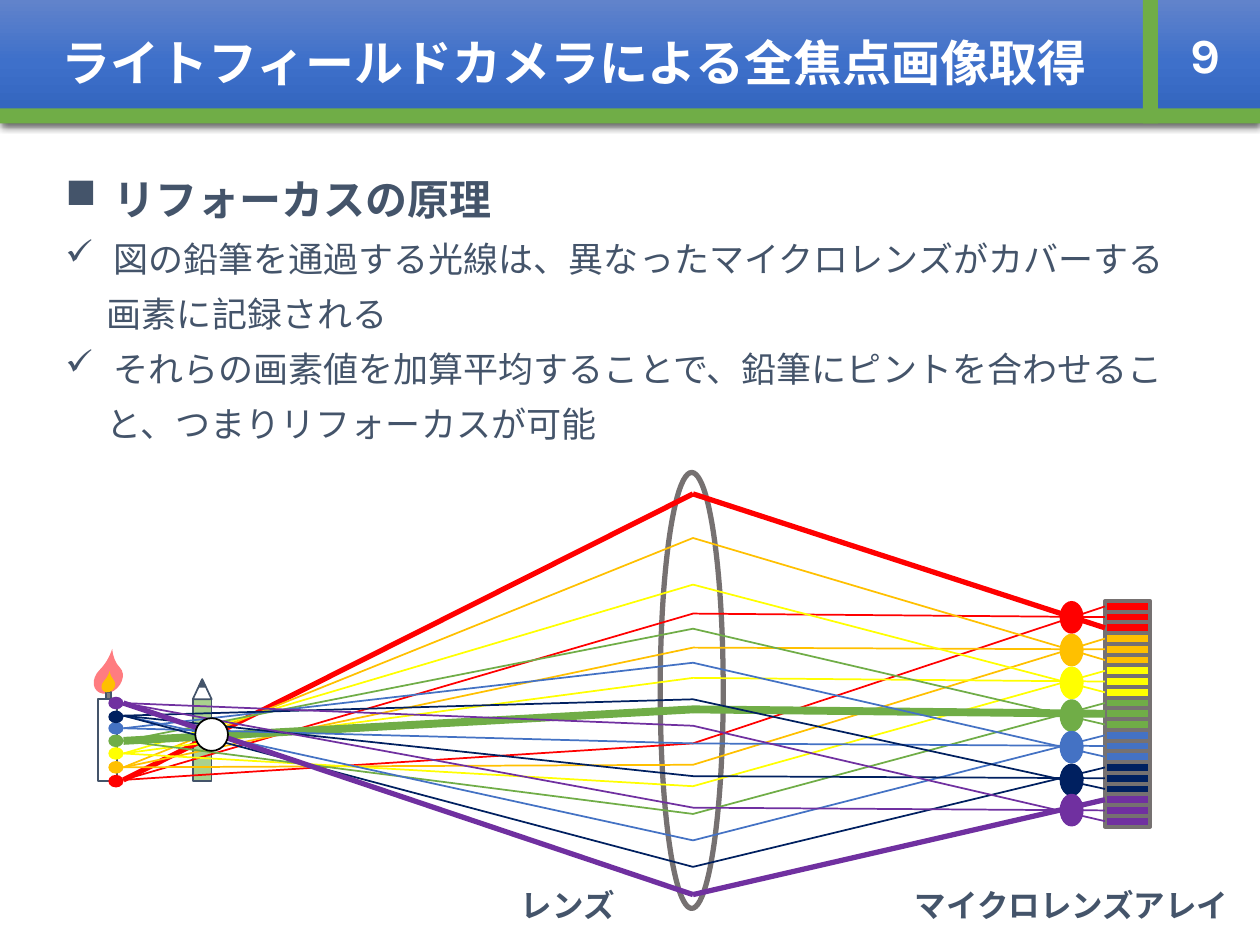
"""Build the slide that explains refocusing with a light field camera."""
from dataclasses import dataclass

from lxml import etree
from pptx import Presentation
from pptx.dml.color import RGBColor
from pptx.enum.shapes import MSO_CONNECTOR, MSO_SHAPE
from pptx.enum.text import MSO_ANCHOR, MSO_AUTO_SIZE, PP_ALIGN
from pptx.oxml import parse_xml
from pptx.oxml.ns import nsdecls, qn
from pptx.util import Emu, Pt

PX = 9144
TITLE_ONLY = 5
RECT, OVAL = MSO_SHAPE.RECTANGLE, MSO_SHAPE.OVAL
TRIANGLE, TEARDROP = MSO_SHAPE.ISOSCELES_TRIANGLE, MSO_SHAPE.TEAR
STRAIGHT = MSO_CONNECTOR.STRAIGHT
TOP, MIDDLE = MSO_ANCHOR.TOP, MSO_ANCHOR.MIDDLE
LEFT, CENTER = PP_ALIGN.LEFT, PP_ALIGN.CENTER
NO_FIT = MSO_AUTO_SIZE.NONE


@dataclass(frozen=True)
class Theme:
    """Colours and type sizes of the slide."""
    font: str = "Karla"
    ink: str = "44546A"
    white: str = "FFFFFF"
    black: str = "000000"
    accent: str = "70AD47"
    band: tuple = ("6183CB", "3E70CA", "3062BB")
    pencil: str = "A9D18E"
    flame: str = "FF7C80"
    flame_core: str = "FFC000"
    wick: str = "808080"
    frame: str = "767171"
    title: int = 28
    heading: int = 24
    body: int = 20
    label: int = 18


THEME = Theme()


@dataclass(frozen=True)
class Beam:
    """Three rays of one colour, ordered by where they cross the lens."""
    color: str
    dot_top: int
    bead_top: int
    starts: tuple
    lens_hits: tuple
    widths: tuple = (1, 1, 1)


BEAMS = (
    Beam("FF0000", 615, 477, (619, 619, 619), (392, 487, 590), (3, 1, 1)),
    Beam("FFC000", 604, 503, (609, 609, 609), (427, 514, 607)),
    Beam("FFFF00", 593, 529, (598, 598, 598), (464, 538, 624)),
    Beam("70AD47", 583, 555, (588, 588, 588), (499, 563, 646), (1, 4.5, 1)),
    Beam("4472C4", 573, 580, (578, 578, 568), (526, 590, 667)),
    Beam("002060", 564, 606, (568, 568, 568), (555, 616, 688)),
    Beam("7030A0", 553, 630, (558, 558, 558), (576, 641, 710), (1, 1, 3)),
)
SOURCE_X, LENS_X, SENSOR_X = 98, 550, 877
SENSOR_TOP, SENSOR_BOTTOM = 477, 656
CELLS_PER_BEAM = 3
CELL_PITCH = (SENSOR_BOTTOM - SENSOR_TOP) / (CELLS_PER_BEAM * len(BEAMS))


def px(*lengths):
    """Turn px lengths into EMU."""
    return [Emu(round(length * PX)) for length in lengths]


def rgb(color):
    """Return the colour object for a hex string."""
    return RGBColor.from_string(color)


def add_bullet(paragraph, mark):
    """Give a paragraph a bullet character."""
    bullet = etree.SubElement(paragraph._p.get_or_add_pPr(), qn("a:buChar"))
    bullet.set("char", mark)


def write(paragraph, text, *, size, color=THEME.ink, bold=True, align=LEFT,
          before=0, spacing=None, bullet=None, margin=0, indent=0):
    """Write formatted text into a paragraph."""
    run = paragraph.add_run()
    run.text = text
    run.font.name, run.font.size, run.font.bold = THEME.font, Pt(size), bold
    run.font.color.rgb = rgb(color)
    paragraph.alignment = align
    paragraph.space_before = Pt(before)
    if spacing:
        paragraph.line_spacing = spacing
    properties = paragraph._p.get_or_add_pPr()
    properties.set("marL", str(margin * PX))
    properties.set("indent", str(indent * PX))
    if bullet:
        add_bullet(paragraph, bullet)


def add_text_frame(slide, box, anchor=TOP):
    """Add a wrapping text box and return its frame."""
    frame = slide.shapes.add_textbox(*px(*box)).text_frame
    frame.word_wrap = True
    frame.vertical_anchor = anchor
    return frame


def add_figure(shapes, kind, box, fill=None, line=None, width=1, rotation=0):
    """Add a preset shape with plain fill and outline."""
    figure = shapes.add_shape(kind, *px(*box))
    figure.shadow.inherit = False
    figure.rotation = rotation
    if fill:
        figure.fill.solid()
        figure.fill.fore_color.rgb = rgb(fill)
    else:
        figure.fill.background()
    if line:
        figure.line.color.rgb = rgb(line)
        figure.line.width = Pt(width)
    else:
        figure.line.fill.background()
    return figure


def add_ray(slide, start, end, color, width):
    """Add a straight ray without shadow."""
    ray = slide.shapes.add_connector(STRAIGHT, *px(*start, *end))
    ray.line.color.rgb = rgb(color)
    ray.line.width = Pt(width)
    etree.SubElement(ray._element.spPr, qn("a:effectLst"))


def paint_band(title):
    """Give the title its gradient and drop shadow."""
    stops = "".join(
        f'<a:gs pos="{step * 50000}"><a:srgbClr val="{color}"/></a:gs>'
        for step, color in enumerate(THEME.band))
    properties = title._element.spPr
    properties.append(parse_xml(
        f'<a:gradFill {nsdecls("a")}><a:gsLst>{stops}</a:gsLst>'
        '<a:lin ang="5400000" scaled="0"/></a:gradFill>'))
    properties.append(parse_xml(
        f'<a:effectLst {nsdecls("a")}><a:outerShdw blurRad="57150" '
        'dist="19050" dir="5400000" algn="ctr" rotWithShape="0">'
        f'<a:srgbClr val="{THEME.black}"><a:alpha val="63000"/></a:srgbClr>'
        '</a:outerShdw></a:effectLst>'))


def add_header(slide):
    """Add the title band, its green bars and the page number."""
    title = slide.shapes.title
    title.left, title.top, title.width, title.height = px(0, 0, 1000, 98)
    paint_band(title)
    frame = title.text_frame
    frame.auto_size, frame.vertical_anchor = NO_FIT, MIDDLE
    write(frame.paragraphs[0], "ライトフィールドカメラによる全焦点画像取得",
          size=THEME.title, color=THEME.white, margin=39)
    for bar in ((0, 86, 1000, 12), (907, 0, 12, 98)):
        add_figure(slide.shapes, RECT, bar, THEME.accent)
    page = add_text_frame(slide, (913, 0, 87, 86), MIDDLE)
    write(page.paragraphs[0], "9", size=THEME.title, color=THEME.white,
          align=CENTER)


def add_explanation(slide):
    """Add the heading and the two checked points."""
    frame = add_text_frame(slide, (42, 137, 915, 386))
    write(frame.paragraphs[0], "リフォーカスの原理", size=THEME.heading,
          before=7.5, spacing=0.9, bullet="■", margin=38, indent=-38)
    points = (
        ("図の鉛筆を通過する光線は、異なったマイクロレンズがカバーする",
         "画素に記録される"),
        ("それらの画素値を加算平均することで、鉛筆にピントを合わせるこ",
         "と、つまりリフォーカスが可能"),
    )
    for opening, rest in points:
        write(frame.add_paragraph(), opening, size=THEME.body, bold=False,
              before=7.5, bullet="✓", margin=38, indent=-38)
        write(frame.add_paragraph(), rest, size=THEME.body, bold=False,
              before=7.5, margin=33)


def add_pencil(slide):
    """Add the pencil as a group."""
    parts = slide.shapes.add_group_shape().shapes
    add_figure(parts, RECT, (153, 555, 15, 65), THEME.pencil, THEME.ink)
    add_figure(parts, TRIANGLE, (153, 539, 15, 16), THEME.white, THEME.ink)
    add_figure(parts, TRIANGLE, (158, 540, 5, 5), THEME.ink, THEME.ink)


def add_candle(slide):
    """Add the candle as a group."""
    parts = slide.shapes.add_group_shape().shapes
    add_figure(parts, RECT, (78, 555, 15, 65), THEME.white, THEME.ink)
    flame = add_figure(parts, TEARDROP, (73, 529, 26, 20), THEME.flame,
                       rotation=315)
    add_figure(parts, RECT, (84, 549, 4, 6), THEME.wick, THEME.ink)
    core = add_figure(parts, TEARDROP, (80, 539, 12, 10), THEME.flame_core,
                      rotation=315)
    for drop in (flame, core):
        drop.adjustments[0] = 1.476


def add_optics(slide):
    """Add the sensor cells, microlenses, light sources and main lens."""
    for row, beam in enumerate(BEAMS):
        for column in range(CELLS_PER_BEAM):
            top = SENSOR_TOP + CELL_PITCH * (CELLS_PER_BEAM * row + column)
            add_figure(slide.shapes, RECT, (SENSOR_X, top, 36, CELL_PITCH),
                       beam.color, THEME.frame, 2.25)
        add_figure(slide.shapes, OVAL, (841, beam.bead_top, 19, 26), beam.color)
        add_figure(slide.shapes, OVAL, (86, beam.dot_top, 12, 10), beam.color)
    add_figure(slide.shapes, OVAL, (524, 375, 50, 346), line=THEME.frame,
               width=3)


def add_beams(slide):
    """Trace every ray from its source through the lens to its cell."""
    for row, beam in enumerate(BEAMS):
        rays = zip(beam.starts, beam.lens_hits, beam.widths)
        for order, (start, hit, width) in enumerate(rays):
            cell = CELLS_PER_BEAM * (row + 1) - order - 0.5
            landing = SENSOR_TOP + CELL_PITCH * cell
            add_ray(slide, (SOURCE_X, start), (LENS_X, hit), beam.color, width)
            add_ray(slide, (LENS_X, hit), (SENSOR_X, landing), beam.color, width)


def add_labels(slide):
    """Name the lens and the microlens array."""
    for left, name in ((291, "レンズ"), (691, "マイクロレンズアレイ")):
        frame = add_text_frame(slide, (left, 702, 319, 49))
        write(frame.paragraphs[0], name, size=THEME.label, align=CENTER,
              before=7.5, spacing=0.9)


def main():
    """Build and save the slide."""
    deck = Presentation()
    deck.slide_width, deck.slide_height = px(1000, 750)
    slide = deck.slides.add_slide(deck.slide_layouts[TITLE_ONLY])
    add_header(slide)
    add_explanation(slide)
    add_pencil(slide)
    add_candle(slide)
    add_optics(slide)
    add_beams(slide)
    add_labels(slide)
    add_figure(slide.shapes, OVAL, (155, 570, 26, 26), THEME.white, THEME.black)
    deck.save("out.pptx")


if __name__ == "__main__":
    main()
